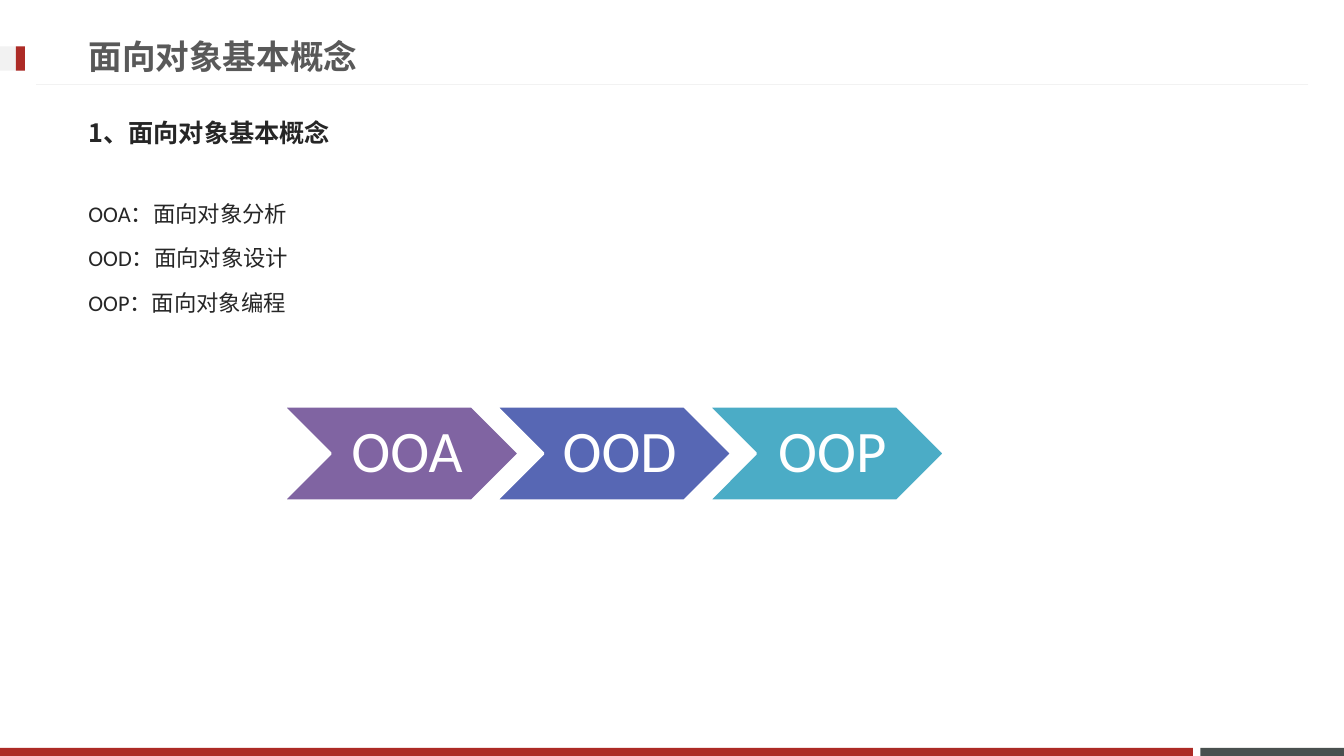
from dataclasses import dataclass

from lxml import etree
from pptx import Presentation
from pptx.dml.color import RGBColor
from pptx.enum import shapes, text
from pptx.oxml import ns
from pptx.util import Pt


@dataclass(frozen=True)
class Theme:
    latin: str = "Calibri"
    asian: str = "Noto Sans CJK JP"
    red: str = "AD2B26"
    slate: str = "49504F"
    pale: str = "F2F2F2"
    grey: str = "595959"
    ink: str = "262626"
    white: str = "FFFFFF"
    steps: tuple = ("8064A2", "5767B4", "4BACC6")
    title_size: int = 24
    heading_size: int = 18
    body_size: int = 16
    step_size: int = 42


THEME = Theme()
LEFT = 56.16
TERMS = {"OOA": "面向对象分析", "OOD": "面向对象设计", "OOP": "面向对象编程"}


def apply(target, values):
    for name, value in values.items():
        setattr(target, name, value)


def add_preset(page, preset, area, color):
    shape = page.shapes.add_shape(preset, *map(Pt, area))
    shape.shadow.inherit = False
    shape.fill.solid()
    shape.fill.fore_color.rgb = RGBColor.from_string(color)
    shape.line.fill.background()
    return shape


def add_bar(page, area, color):
    add_preset(page, shapes.MSO_SHAPE.RECTANGLE, area, color)


def add_rule(page, start, end, color):
    rule = page.shapes.add_connector(
        shapes.MSO_CONNECTOR.STRAIGHT, *map(Pt, start + end))
    rule.line.color.rgb = RGBColor.from_string(color)
    rule.line.width = Pt(0.75)
    etree.SubElement(rule._element.spPr, ns.qn("a:effectLst"))


def write(frame, lines, color, font, layout):
    for index, line in enumerate(lines):
        para = frame.paragraphs[0] if index == 0 else frame.add_paragraph()
        apply(para, layout)
        span = para.add_run()
        span.text = line
        apply(span.font, {"name": THEME.latin, **font})
        span.font.color.rgb = RGBColor.from_string(color)
        asian = etree.SubElement(span.font._element, ns.qn("a:ea"))
        asian.set("typeface", THEME.asian)


def add_text(page, area, lines, color, font, anchor, layout):
    box = page.shapes.add_textbox(*map(Pt, area))
    apply(box.text_frame, {"word_wrap": True, "vertical_anchor": anchor})
    write(box.text_frame, lines, color, font, layout)


def add_step(page, area, label, color):
    step = add_preset(page, shapes.MSO_SHAPE.CHEVRON, area, color)
    step.line.color.rgb = RGBColor.from_string(THEME.white)
    step.line.width = Pt(2)
    apply(step.text_frame, {
        "word_wrap": True,
        "vertical_anchor": text.MSO_ANCHOR.MIDDLE,
        "margin_left": Pt(12.6),
        "margin_right": Pt(4.2),
        "margin_top": Pt(4.2),
        "margin_bottom": Pt(4.2),
    })
    write(step.text_frame, [label], THEME.white, {"size": Pt(THEME.step_size)},
          {"alignment": text.PP_ALIGN.CENTER, "line_spacing": 0.9})


def add_frame(page):
    add_bar(page, (857.5, 534.2, 102.5, 5.8), THEME.slate)
    add_bar(page, (0, 534.2, 852, 5.8), THEME.red)
    add_rule(page, (934.6, 60.4), (25.4, 60.4), THEME.pale)
    add_bar(page, (0, 33.2, 17.8, 17.2), THEME.pale)
    add_bar(page, (11.3, 33.2, 6.5, 17.2), THEME.red)


def main():
    deck = Presentation()
    apply(deck, {"slide_width": Pt(960), "slide_height": Pt(540)})
    page = deck.slides.add_slide(deck.slide_layouts[6])
    middle, top = text.MSO_ANCHOR.MIDDLE, text.MSO_ANCHOR.TOP

    add_frame(page)
    add_text(page, (LEFT, 129.6, 846.7, 358.6),
             [f"{term}：{meaning}" for term, meaning in TERMS.items()],
             THEME.ink, {"size": Pt(THEME.body_size)}, top,
             {"line_spacing": 1.5, "space_before": Pt(3.2)})
    add_text(page, (LEFT, 19.4, 690.5, 41), ["面向对象基本概念"], THEME.grey,
             {"size": Pt(THEME.title_size), "bold": True}, middle, {})
    add_text(page, (LEFT, 74.2, 846.7, 41), ["1、面向对象基本概念"], THEME.ink,
             {"size": Pt(THEME.heading_size), "bold": True,
              "name": THEME.asian}, middle, {"space_before": Pt(3.6)})
    for index, (term, color) in enumerate(zip(TERMS, THEME.steps)):
        add_step(page, (202.3 + 151.9 * index, 290.2, 168.5, 67.5), term, color)

    deck.save("out.pptx")


if __name__ == "__main__":
    main()
